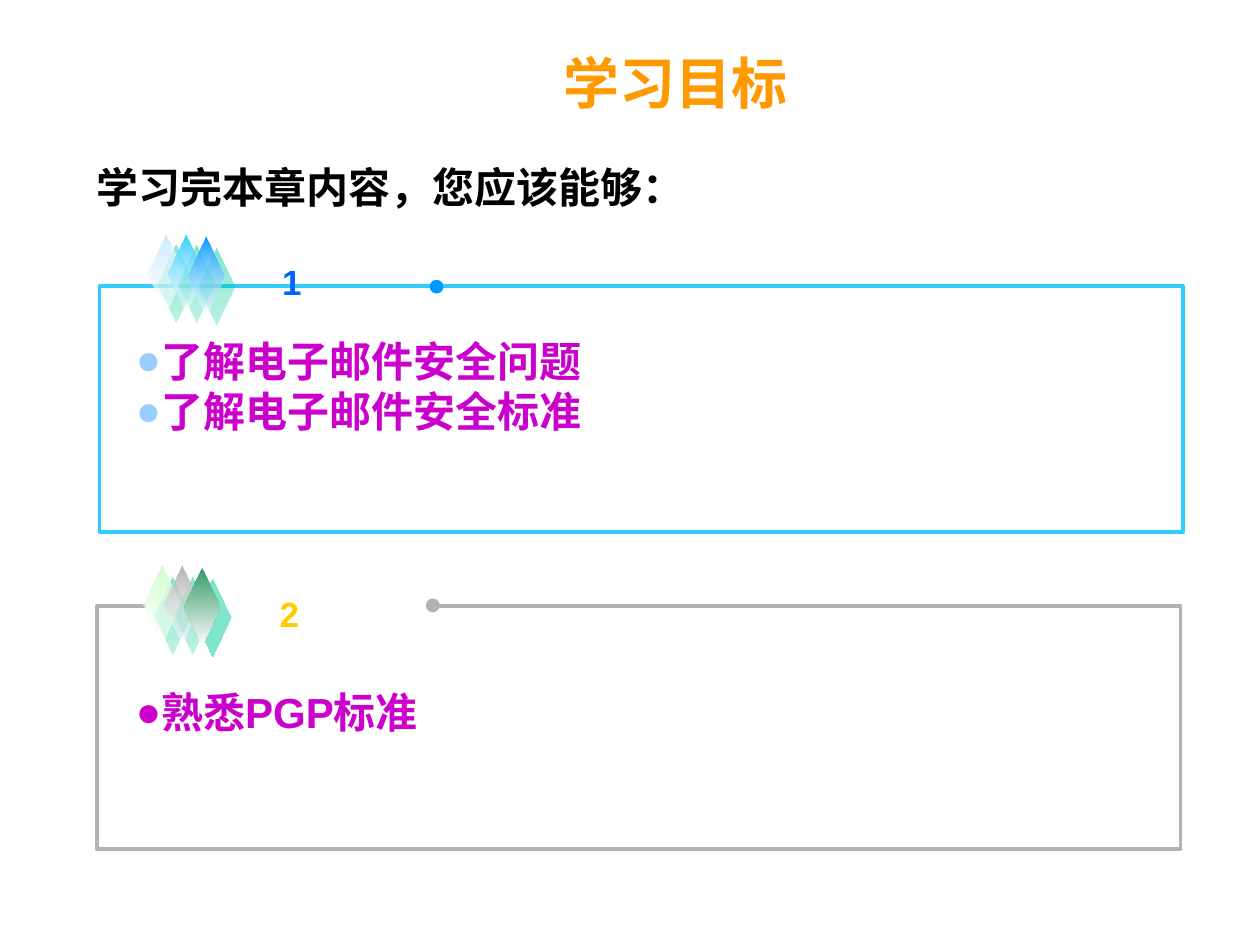
import pptx
import pptx.dml.color
import pptx.enum.shapes
import pptx.enum.text
import pptx.oxml
import pptx.oxml.ns
import pptx.util
from dataclasses import dataclass

Inches = pptx.util.Inches
Pt = pptx.util.Pt
Color = pptx.dml.color.RGBColor.from_string
Shape = pptx.enum.shapes.MSO_SHAPE
Align = pptx.enum.text.PP_ALIGN


@dataclass(frozen=True)
class Theme:
    title: str = "FF9900"
    title_shadow: str = "C0C0C0"
    heading: str = "000000"
    goal: str = "CC00CC"
    paper: str = "FFFFFF"
    diamond_shadow: str = "00CC99"
    title_size: int = 32
    body_size: int = 24
    number_size: int = 20
    title_font: str = "Times New Roman"
    body_font: str = "Arial"


theme = Theme()
NAMESPACE = pptx.oxml.ns.nsdecls("a")


def shadow_xml(color, alpha, distance):
    """Effect list with one hard shadow falling to the lower right."""
    return pptx.oxml.parse_xml(
        f'<a:effectLst {NAMESPACE}><a:outerShdw blurRad="0" dist="{Pt(distance)}" '
        f'dir="2700000" algn="ctr" rotWithShape="0"><a:srgbClr val="{color}">'
        f'<a:alpha val="{alpha * 1000}"/></a:srgbClr></a:outerShdw></a:effectLst>')


def add_text(page, place, lines, size, color, bullet=None):
    box = page.shapes.add_textbox(*map(Inches, place))
    frame = box.text_frame
    frame.word_wrap = True
    for index, line in enumerate(lines):
        para = frame.paragraphs[0] if index == 0 else frame.add_paragraph()
        if bullet:
            properties = para._p.get_or_add_pPr()
            properties.set("marL", "0")
            properties.set("indent", "0")
            for content in (f'<a:buClr {NAMESPACE}><a:srgbClr val="{bullet}"/></a:buClr>',
                            f'<a:buFont {NAMESPACE} typeface="{theme.body_font}"/>',
                            f'<a:buChar {NAMESPACE} char="●"/>'):
                properties.append(pptx.oxml.parse_xml(content))
        span = para.add_run()
        span.text = line
        span.font.name = theme.body_font
        span.font.size = Pt(size)
        span.font.bold = True
        span.font.color.rgb = Color(color)
    return box


deck = pptx.Presentation()
deck.slide_width, deck.slide_height = Inches(10), Inches(7.5)
page = deck.slides.add_slide(deck.slide_layouts[5])

title = page.shapes.title
title.left, title.top, title.width, title.height = map(Inches, (2.16, 0.28, 6.41, 0.75))
title.text_frame.vertical_anchor = pptx.enum.text.MSO_ANCHOR.MIDDLE
para = title.text_frame.paragraphs[0]
para.alignment = Align.CENTER
span = para.add_run()
span.text = "学习目标"
span.font.size = Pt(theme.title_size)
span.font.bold = True
span.font.color.rgb = Color(theme.title)
span.font.fill._xPr.append(shadow_xml(theme.title_shadow, 100, 2))
span.font.name = theme.title_font

heading = add_text(page, (0.67, 1.07, 5.67, 0.66), ["学习完本章内容，您应该能够："],
                   theme.body_size, theme.heading)
para = heading.text_frame.paragraphs[0]
para.alignment = Align.JUSTIFY
para.line_spacing = 1.4
para._p.get_or_add_pPr().set("marL", str(Inches(0.21)))
para._p.get_or_add_pPr().set("indent", str(-Inches(0.21)))

sections = [
    dict(number="1", number_color="0066FF", number_at=(2.14, 2.02),
         frame=(0.79, 2.27, 8.6, 1.95), frame_color="33CCFF", cover=None,
         diamonds=(1.17, 1.86), colors=("CCECFF", "33CCFF", "0099FF"), end_alphas=(50, 50, 50),
         goals=["了解电子邮件安全问题", "了解电子邮件安全标准"], goals_at=(2.61, 0.9),
         bullet="99CCFF", dot=(3.41, 2.22), dot_color="0099FF"),
    dict(number="2", number_color="FFCC00", number_at=(2.12, 4.65),
         frame=(0.77, 4.81, 8.6, 1.93), frame_color="B2B2B2", cover=(1.16, 4.52, 2.25, 0.62),
         diamonds=(1.14, 4.49), colors=("CCFFCC", "B2B2B2", "339966"), end_alphas=(50, 50, 100),
         goals=["熟悉PGP标准"], goals_at=(5.4, 0.5),
         bullet="CC00CC", dot=(3.38, 4.75), dot_color="B2B2B2"),
]

for section in sections:
    frame = page.shapes.add_shape(Shape.RECTANGLE, *map(Inches, section["frame"]))
    frame.shadow.inherit = False
    frame.fill.background()
    frame.line.color.rgb = Color(section["frame_color"])
    frame.line.width = Pt(2.25)

    if section["cover"]:
        cover = page.shapes.add_shape(Shape.RECTANGLE, *map(Inches, section["cover"]))
        cover.shadow.inherit = False
        cover.fill.solid()
        cover.fill.fore_color.rgb = Color(theme.paper)
        cover.line.fill.background()

    group = page.shapes.add_group_shape()
    left, top = section["diamonds"]
    for index, (color, alpha) in enumerate(zip(section["colors"], section["end_alphas"])):
        drop = 0.02 if index == 2 else 0
        diamond = group.shapes.add_shape(
            Shape.DIAMOND, Inches(left + 0.16 * index), Inches(top + drop),
            Inches(0.29), Inches(0.62))
        diamond.line.fill.background()
        properties = diamond._element.spPr
        gradient = pptx.oxml.parse_xml(
            f'<a:gradFill {NAMESPACE} rotWithShape="1"><a:gsLst>'
            f'<a:gs pos="0"><a:srgbClr val="{color}"/></a:gs>'
            f'<a:gs pos="100000"><a:srgbClr val="{theme.paper}">'
            f'<a:alpha val="{alpha * 1000}"/></a:srgbClr></a:gs>'
            f'</a:gsLst><a:lin ang="5400000" scaled="1"/></a:gradFill>')
        properties.find(pptx.oxml.ns.qn("a:ln")).addprevious(gradient)
        properties.append(shadow_xml(theme.diamond_shadow, 50, 8.5))

    goals_top, goals_height = section["goals_at"]
    add_text(page, (0.98, goals_top, 8.18, goals_height), section["goals"],
             theme.body_size, theme.goal, section["bullet"])
    add_text(page, (*section["number_at"], 0.89, 0.44), [section["number"]],
             theme.number_size, section["number_color"])

    dot = page.shapes.add_shape(Shape.OVAL, *map(Inches, (*section["dot"], 0.11, 0.11)))
    dot.shadow.inherit = False
    dot.fill.solid()
    dot.fill.fore_color.rgb = Color(section["dot_color"])
    dot.line.fill.background()

deck.save("out.pptx")
